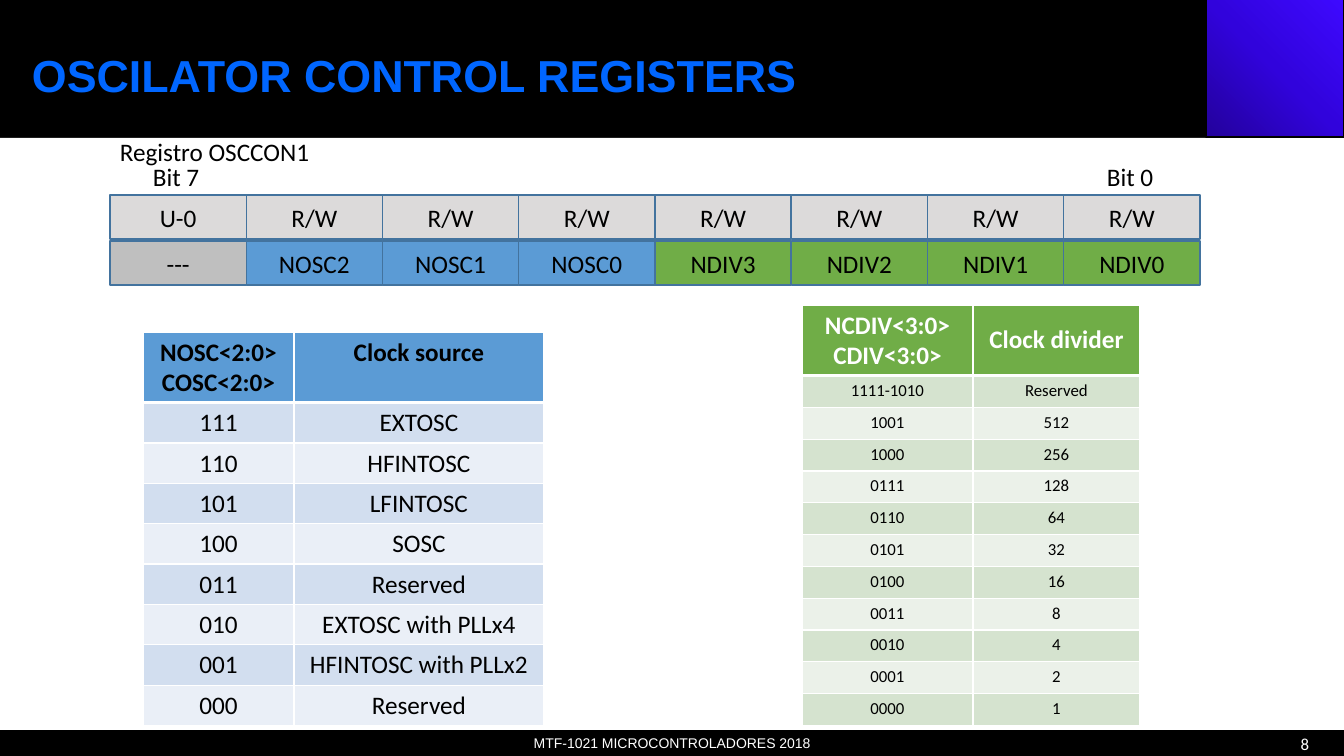
import pptx
import pptx.util
import pptx.dml.color
import pptx.enum.shapes
import pptx.enum.text
import pptx.oxml

BLACK, WHITE, EDGE = "000000", "FFFFFF", "43739E"
GRAY, BLUE, GREEN, PALE = "BFBFBF", "5B9BD5", "70AD47", "DCDADA"
LEFT, MID, RIGHT = (pptx.enum.text.PP_ALIGN.LEFT,
                    pptx.enum.text.PP_ALIGN.CENTER,
                    pptx.enum.text.PP_ALIGN.RIGHT)
TOP = pptx.enum.text.MSO_ANCHOR.TOP
CENTER = pptx.enum.text.MSO_ANCHOR.MIDDLE
BASE = {"name": "Calibri", "size": 18, "color": BLACK, "bold": False}

BANDS = [
    ((0, 0, 1344, 138), BLACK, BLACK),
    ((0, 138, 1344, 592), WHITE, None),
    ((0, 730, 1344, 26), BLACK, None),
]
CORNER = (1206, -1, 138, 138)
STOPS = [(0, "23029B"), (50, "3103DC"), (100, "3E09FF")]

LABELS = [
    ("MTF-1021 MICROCONTROLADORES 2018", (0, 730, 1344, 26), MID, CENTER, True,
     {"name": "Arial", "size": 10, "color": WHITE}),
    ("8", (1017, 724, 302, 40), RIGHT, CENTER, True, {"size": 12, "color": WHITE}),
    ("OSCILATOR CONTROL REGISTERS", (22, -6, 1119, 161), LEFT, CENTER, True,
     {"name": "Arial", "size": 32, "color": "0066FF", "bold": True}),
    ("Registro OSCCON1", (110, 131, 212, 40), LEFT, TOP, False, {}),
    ("Bit 0", (1097, 156, 70, 40), LEFT, TOP, False, {}),
    ("Bit 7", (143, 156, 70, 40), LEFT, TOP, False, {}),
]

BITS = [("---", GRAY)]
BITS += [(f"NOSC{n}", BLUE) for n in (2, 1, 0)]
BITS += [(f"NDIV{n}", GREEN) for n in (3, 2, 1, 0)]
MODES = [("U-0", PALE)] + [("R/W", PALE)] * 7
GRID = {"left": 110, "wide": 1090, "high": 44}
ROWS = [(241, BITS), (195, MODES)]

SOURCE = [
    ("NOSC<2:0>\nCOSC<2:0>", "Clock source"),
    ("111", "EXTOSC"),
    ("110", "HFINTOSC"),
    ("101", "LFINTOSC"),
    ("100", "SOSC"),
    ("011", "Reserved"),
    ("010", "EXTOSC with PLLx4"),
    ("001", "HFINTOSC with PLLx2"),
    ("000", "Reserved"),
]
DIVIDE = [
    ("NCDIV<3:0>\nCDIV<3:0>", "Clock divider"),
    ("1111-1010", "Reserved"),
    ("1001", "512"),
    ("1000", "256"),
    ("0111", "128"),
    ("0110", "64"),
    ("0101", "32"),
    ("0100", "16"),
    ("0011", "8"),
    ("0010", "4"),
    ("0001", "2"),
    ("0000", "1"),
]
HEAD = 70
TABLES = [
    {"rows": SOURCE, "at": (143, 332, 401, 393), "cols": (151, 250),
     "head": BLUE, "ink": BLACK, "bands": ("D2DEEF", "EAEFF7"),
     "size": 18, "anchors": (CENTER, TOP)},
    {"rows": DIVIDE, "at": (802, 305, 338, 420), "cols": (171, 167),
     "head": GREEN, "ink": WHITE, "bands": ("D5E3CF", "EBF1E9"),
     "size": 12, "anchors": (TOP, CENTER)},
]


def px(n):
    return round(n * 12192000 / 1344)


def place(box):
    return [px(n) for n in box]


def tint(code):
    return pptx.dml.color.RGBColor.from_string(code)


def paint(fill, code):
    fill.solid()
    fill.fore_color.rgb = tint(code)


def write(frame, text, align, style):
    style = {**BASE, **style}
    frame.text = text
    for para in frame.paragraphs:
        para.alignment = align
        font = para.runs[0].font
        font.color.rgb = tint(style["color"])
        traits = {"name": style["name"], "size": pptx.util.Pt(style["size"]),
                  "bold": style["bold"]}
        for key, value in traits.items():
            setattr(font, key, value)


def block(box, fill, edge):
    shape = slide.shapes.add_shape(
        pptx.enum.shapes.MSO_SHAPE.RECTANGLE, *place(box))
    shape.shadow.inherit = False
    paint(shape.fill, fill)
    if edge:
        shape.line.color.rgb = tint(edge)
        shape.line.width = pptx.util.Pt(1)
    else:
        shape.line.fill.background()
    return shape


def label(text, box, align, anchor, wrap, style):
    frame = slide.shapes.add_textbox(*place(box)).text_frame
    frame.word_wrap = wrap
    frame.vertical_anchor = anchor
    write(frame, text, align, style)


def glow(shape):
    stops = "".join(f'<a:gs pos="{spot * 1000}"><a:srgbClr val="{code}"/></a:gs>'
                    for spot, code in STOPS)
    grad = pptx.oxml.parse_xml(
        '<a:gradFill xmlns:a="http://schemas.openxmlformats.org/drawingml/2006/main">'
        f'<a:gsLst>{stops}</a:gsLst><a:path path="circle">'
        '<a:fillToRect t="100000" r="100000"/></a:path></a:gradFill>')
    props = shape.element.spPr
    props.replace(props.find(pptx.oxml.ns.qn("a:solidFill")), grad)


def border(cell, widths):
    props = cell._tc.get_or_add_tcPr()
    for side, width in widths.items():
        props.append(pptx.oxml.parse_xml(
            f'<a:ln{side} xmlns:a="http://schemas.openxmlformats.org/drawingml/2006/main"'
            f' w="{width * 12700}"><a:solidFill><a:srgbClr val="{WHITE}"/>'
            f'</a:solidFill></a:ln{side}>'))


def chart(rows, at, cols, head, ink, bands, size, anchors):
    table = slide.shapes.add_table(len(rows), len(cols), *place(at)).table
    for col, wide in zip(table.columns, cols):
        col.width = px(wide)
    step = (at[3] - HEAD) / (len(rows) - 1)
    for r, row in enumerate(rows):
        first = r == 0
        table.rows[r].height = px(HEAD if first else step)
        style = {"color": ink, "bold": True} if first else {"size": size}
        for c, text in enumerate(row):
            cell = table.cell(r, c)
            write(cell.text_frame, text, MID, style)
            cell.vertical_anchor = anchors[c] if first else TOP
            border(cell, {"L": 1, "R": 1, "T": 3 if r == 1 else 1,
                          "B": 3 if first else 1})
            paint(cell.fill, head if first else bands[(r - 1) % 2])


deck = pptx.Presentation()
deck.slide_width, deck.slide_height = px(1344), px(756)
slide = deck.slides.add_slide(deck.slide_layouts[6])

for band in BANDS:
    block(*band)
glow(block(CORNER, BLUE, BLACK))
for top, cells in ROWS:
    wide = GRID["wide"] / len(cells)
    for n, (text, fill) in enumerate(cells):
        shape = block((GRID["left"] + n * wide, top, wide, GRID["high"]), fill, EDGE)
        shape.text_frame.vertical_anchor = CENTER
        write(shape.text_frame, text, MID, {})
for item in LABELS:
    label(*item)
for item in TABLES:
    chart(**item)

deck.save("out.pptx")
